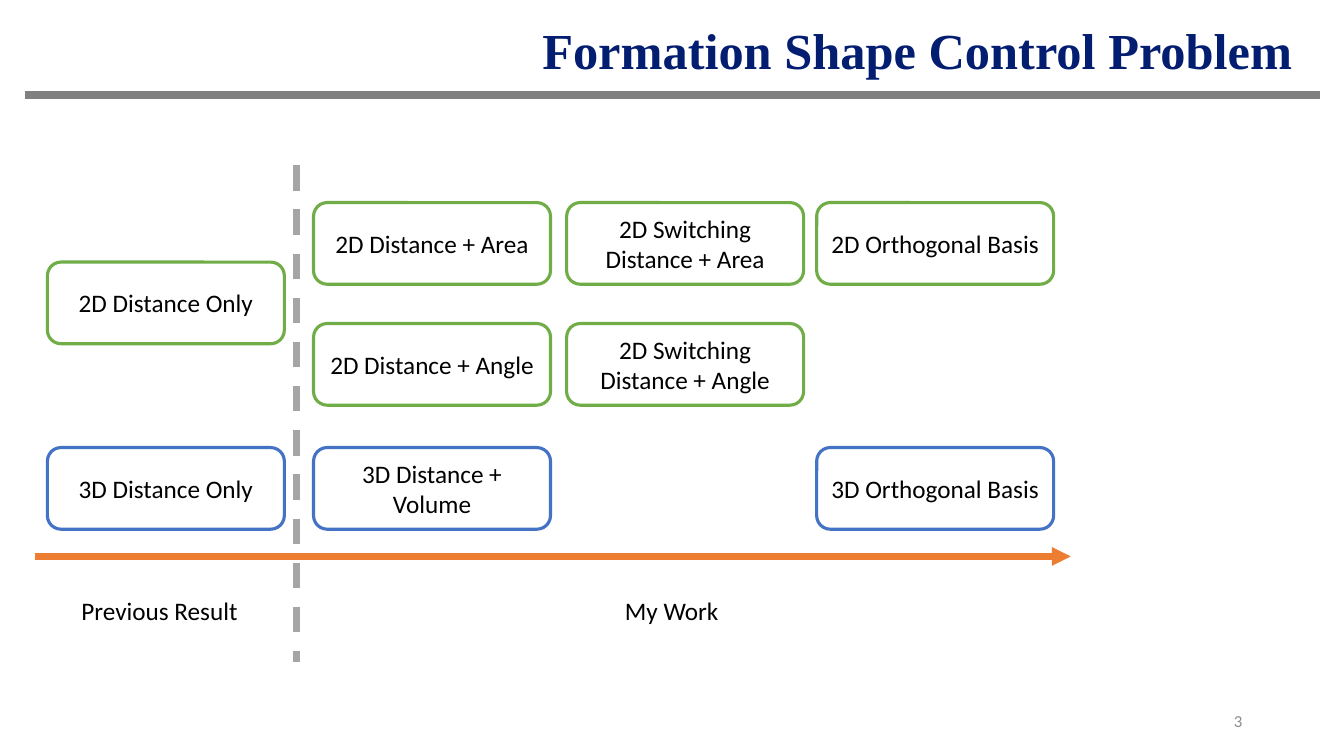
from typing import NamedTuple

from lxml import etree
from pptx import Presentation
from pptx.dml.color import RGBColor
from pptx.enum.dml import MSO_LINE
from pptx.enum.shapes import MSO_CONNECTOR, MSO_SHAPE
from pptx.enum.text import MSO_ANCHOR, PP_ALIGN
from pptx.oxml.ns import qn
from pptx.util import Inches, Pt

STRAIGHT = MSO_CONNECTOR.STRAIGHT
ROUNDED = MSO_SHAPE.ROUNDED_RECTANGLE
DASH = MSO_LINE.DASH
TOP, MIDDLE = MSO_ANCHOR.TOP, MSO_ANCHOR.MIDDLE
LEFT, CENTER, RIGHT = PP_ALIGN.LEFT, PP_ALIGN.CENTER, PP_ALIGN.RIGHT

GREEN, BLUE, ORANGE = "70AD47", "4472C4", "ED7D31"
BLACK, WHITE, NAVY = "000000", "FFFFFF", "031D71"
RULE_GRAY, DASH_GRAY, NUMBER_GRAY = "808080", "A5A5A5", "8C8C8C"

BOX_W, BOX_H = 2.35, 0.81
COLUMNS = {"previous": 0.47, "extended": 3.11, "switching": 5.62, "basis": 8.1}
ROWS = {"area": 2.01, "distance": 2.6, "angle": 3.21, "3D": 4.44}


class Method(NamedTuple):
    """A control method and its place in the overview grid."""
    text: str
    column: str
    row: str


class Label(NamedTuple):
    """A text box with its frame in inches."""
    text: str
    left: float
    top: float
    width: float
    height: float
    size: float = 18
    color: str = BLACK
    font: str = "Calibri"
    bold: bool = False
    align: PP_ALIGN = LEFT
    anchor: MSO_ANCHOR = TOP
    wrap: bool = True


class Line(NamedTuple):
    """A straight line with its ends in inches."""
    x1: float
    y1: float
    x2: float
    y2: float
    color: str
    width: float
    dashed: bool = False
    arrow: bool = False


METHODS = [
    Method("2D Distance Only", "previous", "distance"),
    Method("3D Distance Only", "previous", "3D"),
    Method("2D Distance + Area", "extended", "area"),
    Method("2D Distance + Angle", "extended", "angle"),
    Method("3D Distance + Volume", "extended", "3D"),
    Method("2D Switching Distance + Area", "switching", "area"),
    Method("2D Switching Distance + Angle", "switching", "angle"),
    Method("2D Orthogonal Basis", "basis", "area"),
    Method("3D Orthogonal Basis", "basis", "3D"),
]
LABELS = [
    Label("Formation Shape Control Problem", 5.28, 0.1, 7.81, 0.77, size=36,
          color=NAVY, font="Times New Roman", bold=True, anchor=MIDDLE),
    Label("Previous Result", 0.71, 5.86, 1.77, 0.4, wrap=False),
    Label("My Work", 6.1, 5.86, 1.14, 0.4, wrap=False),
    Label("3", 9.42, 6.95, 3, 0.4, size=12, color=NUMBER_GRAY,
          align=RIGHT, anchor=MIDDLE),
]
LINES = [
    Line(0.25, 0.94, 13.09, 0.94, RULE_GRAY, 6),
    Line(0.35, 5.52, 10.62, 5.52, ORANGE, 4.5, arrow=True),
    Line(2.94, 1.64, 2.94, 6.57, DASH_GRAY, 4.5, dashed=True),
]


def rgb(color: str) -> RGBColor:
    """Turn a hex string into a colour."""
    return RGBColor.from_string(color)


def write(sp, text: str, size: float, color: str, font: str, bold: bool,
          align: PP_ALIGN, anchor: MSO_ANCHOR, wrap: bool) -> None:
    """Put one formatted run into a shape."""
    tf = sp.text_frame
    tf.word_wrap = wrap
    tf.vertical_anchor = anchor
    p = tf.paragraphs[0]
    p.alignment = align
    r = p.add_run()
    r.text = text
    r.font.size = Pt(size)
    r.font.name = font
    r.font.bold = bold
    r.font.color.rgb = rgb(color)


def add_label(slide, label: Label) -> None:
    """Draw a text box."""
    frame = (label.left, label.top, label.width, label.height)
    sp = slide.shapes.add_textbox(*map(Inches, frame))
    write(sp, label.text, *label[5:])


def add_method(slide, method: Method) -> None:
    """Draw a method box, coloured by its dimension."""
    frame = (COLUMNS[method.column], ROWS[method.row], BOX_W, BOX_H)
    sp = slide.shapes.add_shape(ROUNDED, *map(Inches, frame))
    sp.shadow.inherit = False
    sp.fill.solid()
    sp.fill.fore_color.rgb = rgb(WHITE)
    sp.line.color.rgb = rgb(BLUE if method.row == "3D" else GREEN)
    sp.line.width = Pt(2.25)
    write(sp, method.text, 18, BLACK, "Calibri", False, CENTER, MIDDLE, True)


def add_line(slide, line: Line) -> None:
    """Draw a line, dashed or with an arrowhead where asked."""
    ends = map(Inches, (line.x1, line.y1, line.x2, line.y2))
    s = slide.shapes.add_connector(STRAIGHT, *ends)
    s.line.color.rgb = rgb(line.color)
    s.line.width = Pt(line.width)
    if line.dashed:
        s.line.dash_style = DASH
    if line.arrow:
        ln = s.line._get_or_add_ln()
        etree.SubElement(ln, qn("a:tailEnd"), type="triangle")
    etree.SubElement(s._element.spPr, qn("a:effectLst"))


def main() -> None:
    """Build and save the slide."""
    prs = Presentation()
    prs.slide_width, prs.slide_height = Inches(13.33), Inches(7.5)
    slide = prs.slides.add_slide(prs.slide_layouts[6])
    for line in LINES:
        add_line(slide, line)
    for method in METHODS:
        add_method(slide, method)
    for label in LABELS:
        add_label(slide, label)
    prs.save("out.pptx")


main()
